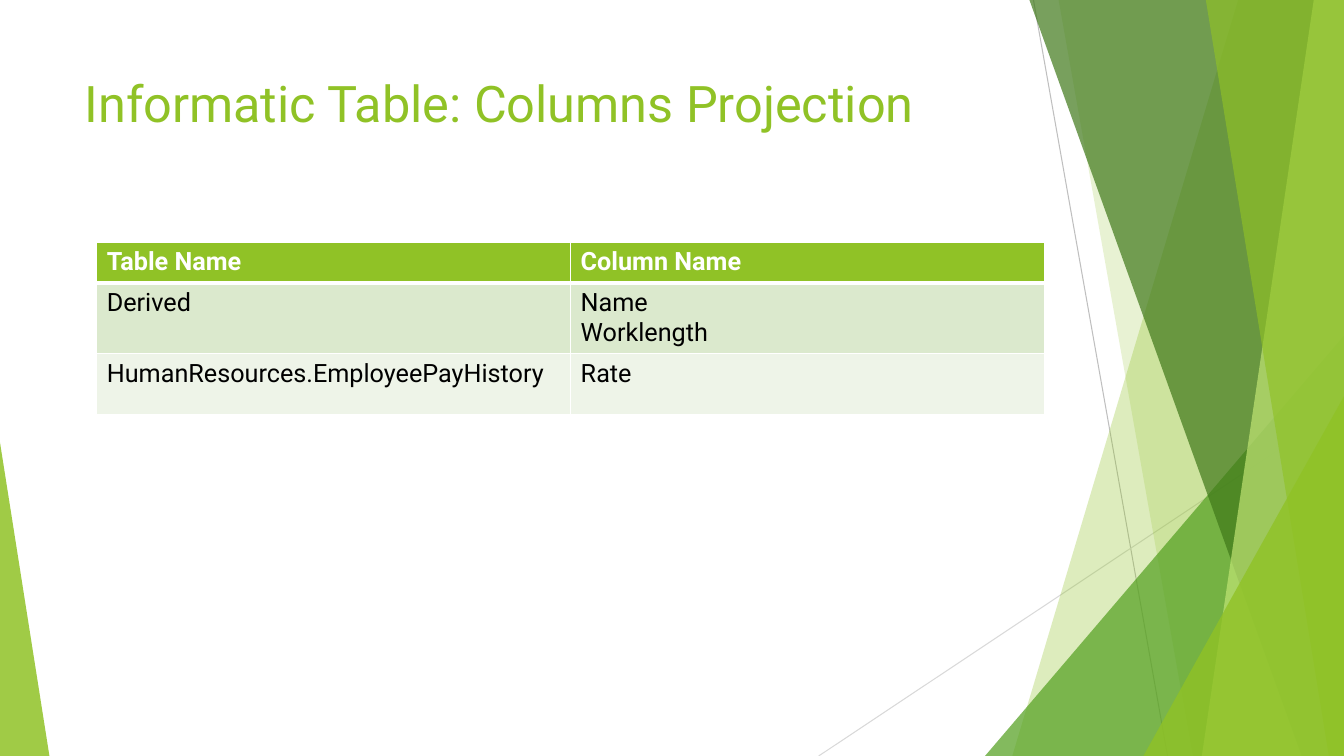
from dataclasses import dataclass

from lxml.etree import SubElement
from pptx import Presentation
from pptx.dml.color import RGBColor
from pptx.enum.shapes import MSO_CONNECTOR, MSO_SHAPE
from pptx.enum.text import MSO_ANCHOR
from pptx.oxml.ns import qn
from pptx.shapes.autoshape import Shape
from pptx.slide import Slide
from pptx.table import _Cell
from pptx.text.text import TextFrame
from pptx.util import Inches, Pt

WIDTH, HEIGHT = 13.33, 7.5
FONT = "Roboto"
WHITE = RGBColor(0xFF, 0xFF, 0xFF)
BLACK = RGBColor(0x00, 0x00, 0x00)
LIME = RGBColor(0x90, 0xC2, 0x26)
GREEN = RGBColor(0x54, 0xA0, 0x21)
FOREST = RGBColor(0x3F, 0x78, 0x19)
PALE_LIME = RGBColor(0xC0, 0xE4, 0x74)
ROW_DARK = RGBColor(0xDB, 0xE9, 0xCD)
ROW_LIGHT = RGBColor(0xEE, 0xF4, 0xE8)
GRAY = RGBColor(0xBF, 0xBF, 0xBF)
LIGHT_GRAY = RGBColor(0xD9, 0xD9, 0xD9)


@dataclass(frozen=True)
class Ray:
    start: tuple[float, float]
    end: tuple[float, float]
    color: RGBColor


@dataclass(frozen=True)
class Band:
    top_left: float
    bottom_left: float
    color: RGBColor
    opacity: int


@dataclass(frozen=True)
class Wedge:
    left: float
    top: float
    width: float
    apex: float
    color: RGBColor
    opacity: int


@dataclass(frozen=True)
class Row:
    height: float
    cells: tuple[str, str]
    fill: RGBColor
    color: RGBColor = BLACK
    bold: bool = False
    top_border: float = 1
    bottom_border: float = 1


RAYS = (
    Ray((10.25, 0), (11.58, HEIGHT), GRAY),
    Ray((WIDTH, 4.03), (8.12, HEIGHT), LIGHT_GRAY),
)
FACETS = (
    Band(12.28, 10.04, LIME, 30),
    Band(10.5, 11.83, LIME, 20),
    Wedge(9.77, 3.33, 3.56, 1, GREEN, 72),
    Band(10.21, 12.91, FOREST, 70),
    Band(13.03, 11.92, PALE_LIME, 70),
    Band(11.96, 13.18, LIME, 65),
    Wedge(11.34, 3.93, 1.99, 1, LIME, 80),
    Wedge(0, 4.39, 0.49, 0, LIME, 85),
)
ROWS = (
    Row(0.41, ("Table Name", "Column Name"), LIME, WHITE, True, bottom_border=3),
    Row(0.69, ("Derived", "Name\nWorklength"), ROW_DARK, top_border=3),
    Row(0.6, ("HumanResources.EmployeePayHistory", "Rate"), ROW_LIGHT),
)


def draw_ray(slide: Slide, ray: Ray) -> None:
    points = [Inches(value) for value in ray.start + ray.end]
    connector = slide.shapes.add_connector(MSO_CONNECTOR.STRAIGHT, *points)
    connector.line.color.rgb = ray.color
    connector.line.width = Pt(0.75)
    SubElement(connector.line._get_or_add_ln().getparent(), qn("a:effectLst"))


def add_band(slide: Slide, band: Band) -> Shape:
    outline = slide.shapes.build_freeform(Inches(band.top_left), 0)
    corners = ((WIDTH, 0), (WIDTH, HEIGHT), (band.bottom_left, HEIGHT))
    outline.add_line_segments([(Inches(x), Inches(y)) for x, y in corners])
    return outline.convert_to_shape()


def add_wedge(slide: Slide, wedge: Wedge) -> Shape:
    triangle = slide.shapes.add_shape(
        MSO_SHAPE.ISOSCELES_TRIANGLE, Inches(wedge.left), Inches(wedge.top),
        Inches(wedge.width), Inches(HEIGHT - wedge.top))
    triangle.adjustments[0] = wedge.apex
    return triangle


def draw_facet(slide: Slide, facet: Band | Wedge) -> None:
    shape = add_band(slide, facet) if isinstance(facet, Band) else add_wedge(slide, facet)
    shape.shadow.inherit = False
    shape.line.fill.background()
    shape.fill.solid()
    shape.fill.fore_color.rgb = facet.color
    color = shape.fill._xPr.find(qn("a:solidFill"))[0]
    SubElement(color, qn("a:alpha"), val=str(facet.opacity * 1000))


def write(frame: TextFrame, text: str, *, size: float, color: RGBColor,
          bold: bool = False) -> None:
    frame.word_wrap = True
    frame.text = text
    for paragraph in frame.paragraphs:
        for run in paragraph.runs:
            run.font.name = FONT
            run.font.size = Pt(size)
            run.font.color.rgb = color
            run.font.bold = bold


def set_borders(cell: _Cell, row: Row) -> None:
    properties = cell._tc.get_or_add_tcPr()
    widths = {"L": 1, "R": 1, "T": row.top_border, "B": row.bottom_border}
    for side, width in widths.items():
        border = SubElement(properties, qn(f"a:ln{side}"), w=str(Pt(width)))
        SubElement(SubElement(border, qn("a:solidFill")), qn("a:srgbClr"), val=str(WHITE))


def draw_table(slide: Slide) -> None:
    total_height = sum(row.height for row in ROWS)
    table = slide.shapes.add_table(
        len(ROWS), 2, Inches(0.96), Inches(2.4), Inches(9.4), Inches(total_height)).table
    for index, row in enumerate(ROWS):
        table.rows[index].height = Inches(row.height)
        for cell, text in zip(table.rows[index].cells, row.cells):
            set_borders(cell, row)
            cell.fill.solid()
            cell.fill.fore_color.rgb = row.fill
            write(cell.text_frame, text, size=18, color=row.color, bold=row.bold)


def main() -> None:
    presentation = Presentation()
    presentation.slide_width = Inches(WIDTH)
    presentation.slide_height = Inches(HEIGHT)
    slide = presentation.slides.add_slide(presentation.slide_layouts[6])
    for ray in RAYS:
        draw_ray(slide, ray)
    for facet in FACETS:
        draw_facet(slide, facet)
    title = slide.shapes.add_textbox(Inches(0.74), Inches(0.67), Inches(9.4), Inches(1.44))
    title.text_frame.vertical_anchor = MSO_ANCHOR.TOP
    write(title.text_frame, "Informatic Table: Columns Projection", size=36, color=LIME)
    draw_table(slide)
    presentation.save("out.pptx")


if __name__ == "__main__":
    main()
